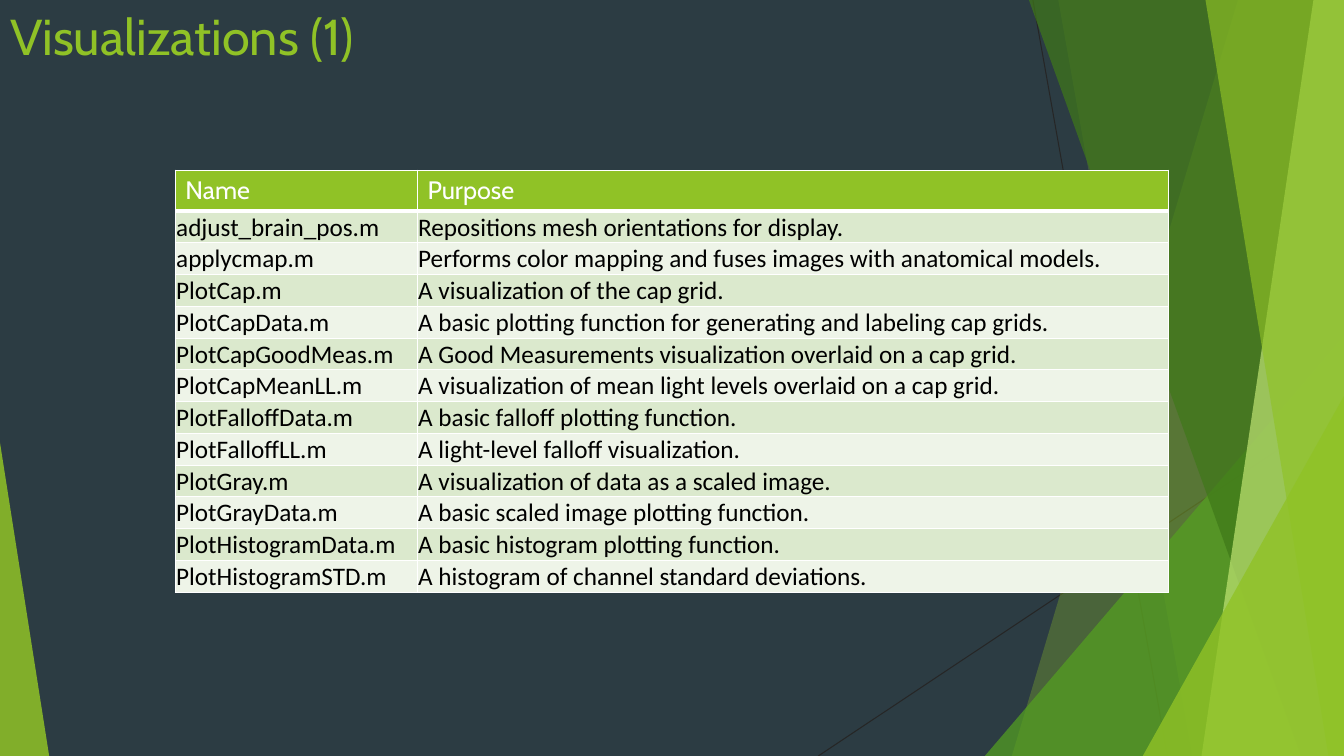
from lxml.etree import SubElement
from pptx import Presentation
from pptx.dml.color import RGBColor as RGB
from pptx.enum.shapes import MSO_CONNECTOR as Connector, MSO_SHAPE as Preset
from pptx.enum.text import MSO_ANCHOR as Anchor, PP_ALIGN as Align
from pptx.oxml.ns import qn
from pptx.util import Cm, Pt

TITLE = "Visualizations (1)"
FUNCTIONS = [
    ("Name", "Purpose"),
    ("adjust_brain_pos.m", "Repositions mesh orientations for display."),
    ("applycmap.m", "Performs color mapping and fuses images with anatomical models."),
    ("PlotCap.m", "A visualization of the cap grid."),
    ("PlotCapData.m", "A basic plotting function for generating and labeling cap grids."),
    ("PlotCapGoodMeas.m", "A Good Measurements visualization overlaid on a cap grid."),
    ("PlotCapMeanLL.m", "A visualization of mean light levels overlaid on a cap grid."),
    ("PlotFalloffData.m", "A basic falloff plotting function."),
    ("PlotFalloffLL.m", "A light-level falloff visualization."),
    ("PlotGray.m", "A visualization of data as a scaled image."),
    ("PlotGrayData.m", "A basic scaled image plotting function."),
    ("PlotHistogramData.m", "A basic histogram plotting function."),
    ("PlotHistogramSTD.m", "A histogram of channel standard deviations."),
]

COLORS = {
    "background": "2C3C43", "ray": "262626", "lime": "90C226", "green": "54A021",
    "forest": "3F7819", "pale": "C0E474", "white": "FFFFFF", "black": "000000",
    "odd_row": "DBE9CD", "even_row": "EEF4E8",
}
WIDTH, HEIGHT = 33.87, 19.05
RAYS = [(26.03, 0, 29.42, HEIGHT), (WIDTH, 10.23, 20.62, HEIGHT)]
# kind, geometry, color, opacity
FACETS = [
    ("band", (31.2, 25.5), "lime", 30),
    ("band", (26.67, 30.05), "lime", 20),
    ("triangle", (24.82, 8.46, 9.05, 1), "green", 72),
    ("band", (25.93, 32.79), "forest", 70),
    ("band", (33.1, 30.28), "pale", 70),
    ("band", (30.38, 33.48), "lime", 65),
    ("triangle", (28.8, 9.98, 5.07, 1), "lime", 80),
    ("triangle", (0, 11.15, 1.24, 0), "lime", 85),
]
COLUMNS = (6.1, 18.93)
HEADER_HEIGHT, ROW_HEIGHT = 1.03, 0.8
TABLE_LEFT, TABLE_TOP = 4.42, 4.29

TITLE_BOX = {"left": Cm(0), "top": Cm(0), "width": Cm(23.88), "height": Cm(3.66)}
TITLE_FONT = {"name": "Cabin", "size": Pt(36), "bold": False}
HEADER_FONT = {"name": "Cabin", "size": Pt(18), "bold": False}
ROW_FONT = {"name": "Calibri", "size": Pt(18), "bold": False}
ROW_CELL = {
    "vertical_anchor": Anchor.BOTTOM, "margin_left": Cm(0.02),
    "margin_right": Cm(0.02), "margin_top": Cm(0.02), "margin_bottom": Cm(0),
}


def color(name):
    return RGB.from_string(COLORS[name])


def apply(target, formats):
    for attribute, value in formats.items():
        setattr(target, attribute, value)


def style_font(font, formats, color_name):
    apply(font, formats)
    font.color.rgb = color(color_name)


def add_ray(shapes, ends):
    ray = shapes.add_connector(Connector.STRAIGHT, *map(Cm, ends))
    ray.line.color.rgb = color("ray")
    ray.line.width = Pt(0.75)
    SubElement(ray.element.spPr, qn("a:effectLst"))


def add_facet(shapes, kind, geometry, color_name, opacity):
    if kind == "band":
        top_x, bottom_x = geometry
        outline = shapes.build_freeform(Cm(top_x), 0)
        corners = [(WIDTH, 0), (WIDTH, HEIGHT), (bottom_x, HEIGHT)]
        outline.add_line_segments([(Cm(x), Cm(y)) for x, y in corners], close=True)
        facet = outline.convert_to_shape()
    else:
        left, top, width, apex = geometry
        box = map(Cm, (left, top, width, HEIGHT - top))
        facet = shapes.add_shape(Preset.ISOSCELES_TRIANGLE, *box)
        facet.adjustments[0] = apex
    facet.shadow.inherit = False
    facet.line.fill.background()
    facet.fill.solid()
    facet.fill.fore_color.rgb = color(color_name)
    for tint in facet.element.xpath(".//a:srgbClr"):
        SubElement(tint, qn("a:alpha"), val=str(opacity * 1000))


def add_borders(cell, row_index):
    properties = cell._tc.get_or_add_tcPr()
    heavy = {0: "lnB", 1: "lnT"}.get(row_index)
    for side in ("lnL", "lnR", "lnT", "lnB"):
        points = 3 if side == heavy else 1
        border = SubElement(properties, qn(f"a:{side}"), w=str(Pt(points)))
        paint = SubElement(border, qn("a:solidFill"))
        SubElement(paint, qn("a:srgbClr"), val=COLORS["white"])


def fill_cell(cell, text, row_index):
    cell.text = text
    font = cell.text_frame.paragraphs[0].runs[0].font
    add_borders(cell, row_index)
    cell.fill.solid()
    if row_index == 0:
        fill = "lime"
        style_font(font, HEADER_FONT, "white")
    else:
        fill = "odd_row" if row_index % 2 else "even_row"
        apply(cell, ROW_CELL)
        style_font(font, ROW_FONT, "black")
    cell.fill.fore_color.rgb = color(fill)


def add_function_table(shapes):
    heights = [HEADER_HEIGHT] + [ROW_HEIGHT] * (len(FUNCTIONS) - 1)
    box = map(Cm, (TABLE_LEFT, TABLE_TOP, sum(COLUMNS), sum(heights)))
    functions = shapes.add_table(len(FUNCTIONS), len(COLUMNS), *box).table
    for column, width in zip(functions.columns, COLUMNS):
        column.width = Cm(width)
    for row_index, (texts, height) in enumerate(zip(FUNCTIONS, heights)):
        row = functions.rows[row_index]
        row.height = Cm(height)
        for cell, text in zip(row.cells, texts):
            fill_cell(cell, text, row_index)


def main():
    deck = Presentation()
    deck.slide_width, deck.slide_height = Cm(WIDTH), Cm(HEIGHT)
    slide = deck.slides.add_slide(deck.slide_layouts[5])
    slide.background.fill.solid()
    slide.background.fill.fore_color.rgb = color("background")

    for ends in RAYS:
        add_ray(slide.shapes, ends)
    for facet in FACETS:
        add_facet(slide.shapes, *facet)

    title = slide.shapes.title
    apply(title, TITLE_BOX)
    title.text_frame.text = TITLE
    title.text_frame.vertical_anchor = Anchor.TOP
    heading = title.text_frame.paragraphs[0]
    heading.alignment = Align.LEFT
    style_font(heading.runs[0].font, TITLE_FONT, "lime")

    add_function_table(slide.shapes)
    deck.save("out.pptx")


if __name__ == "__main__":
    main()
